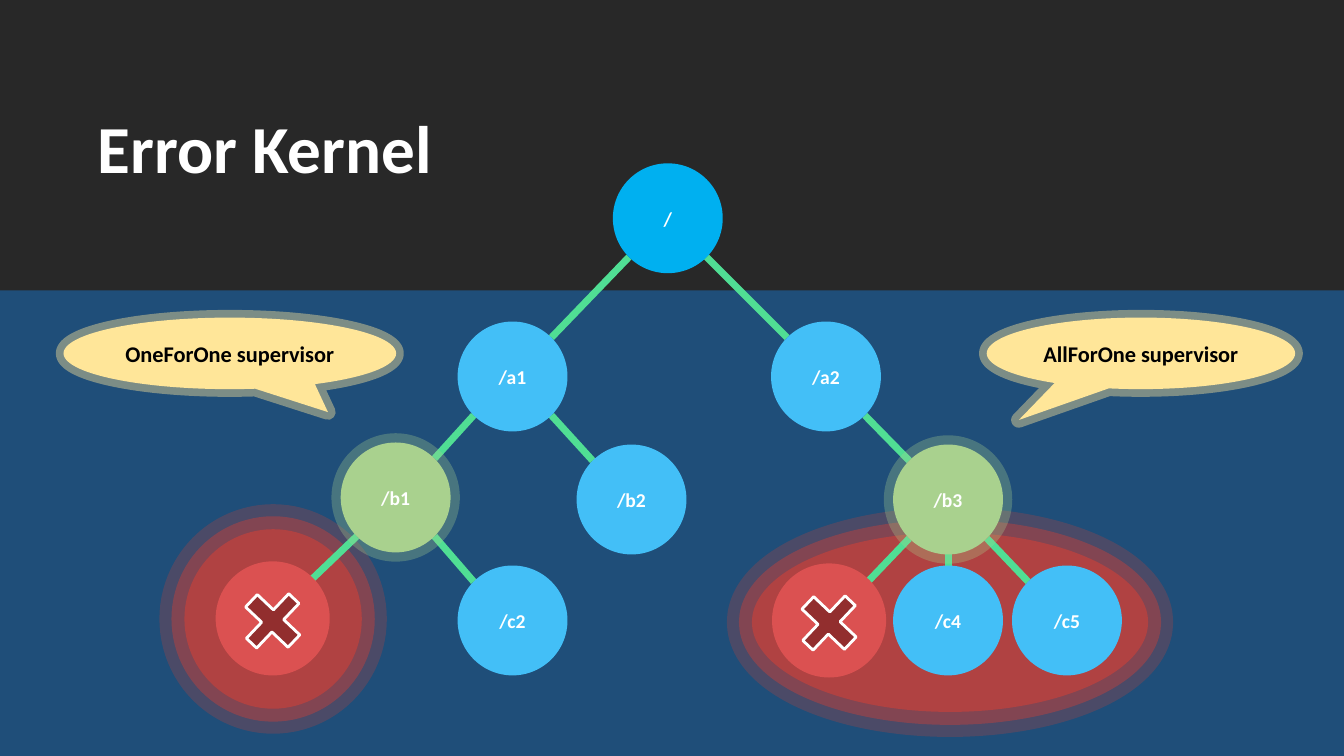
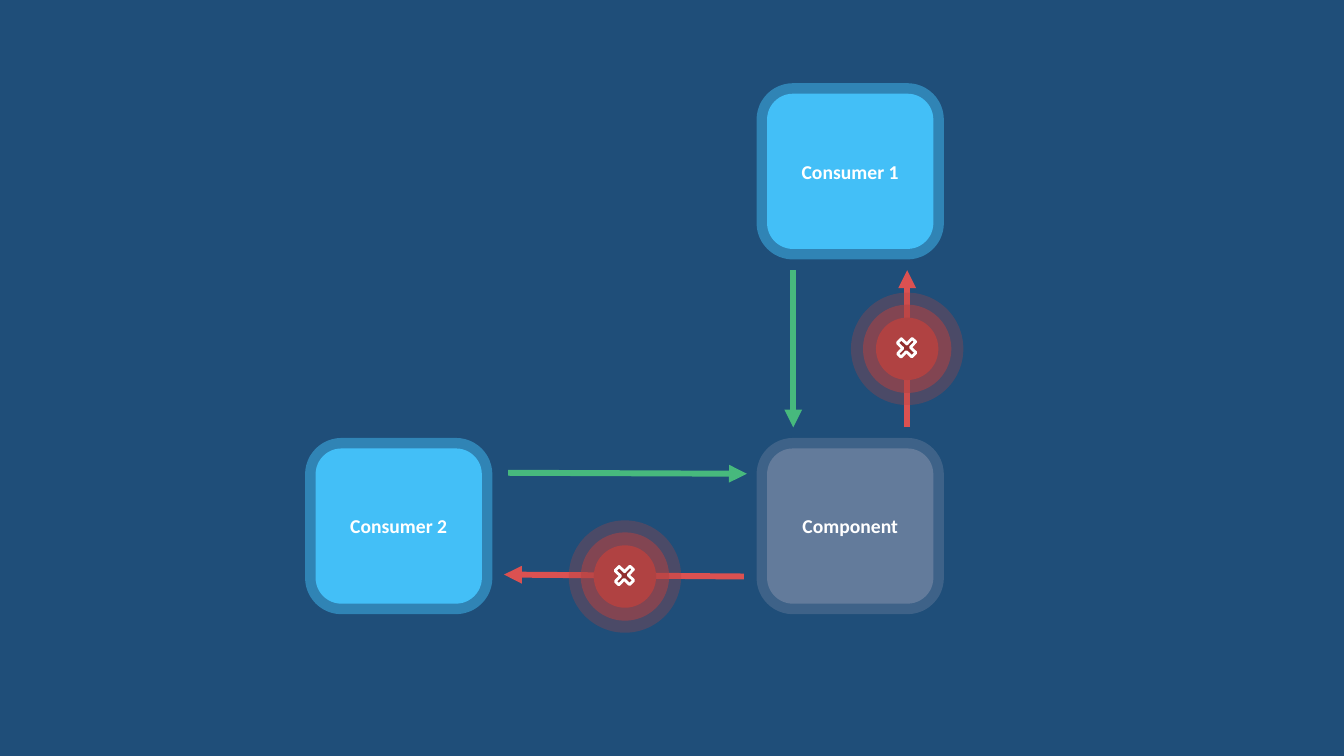
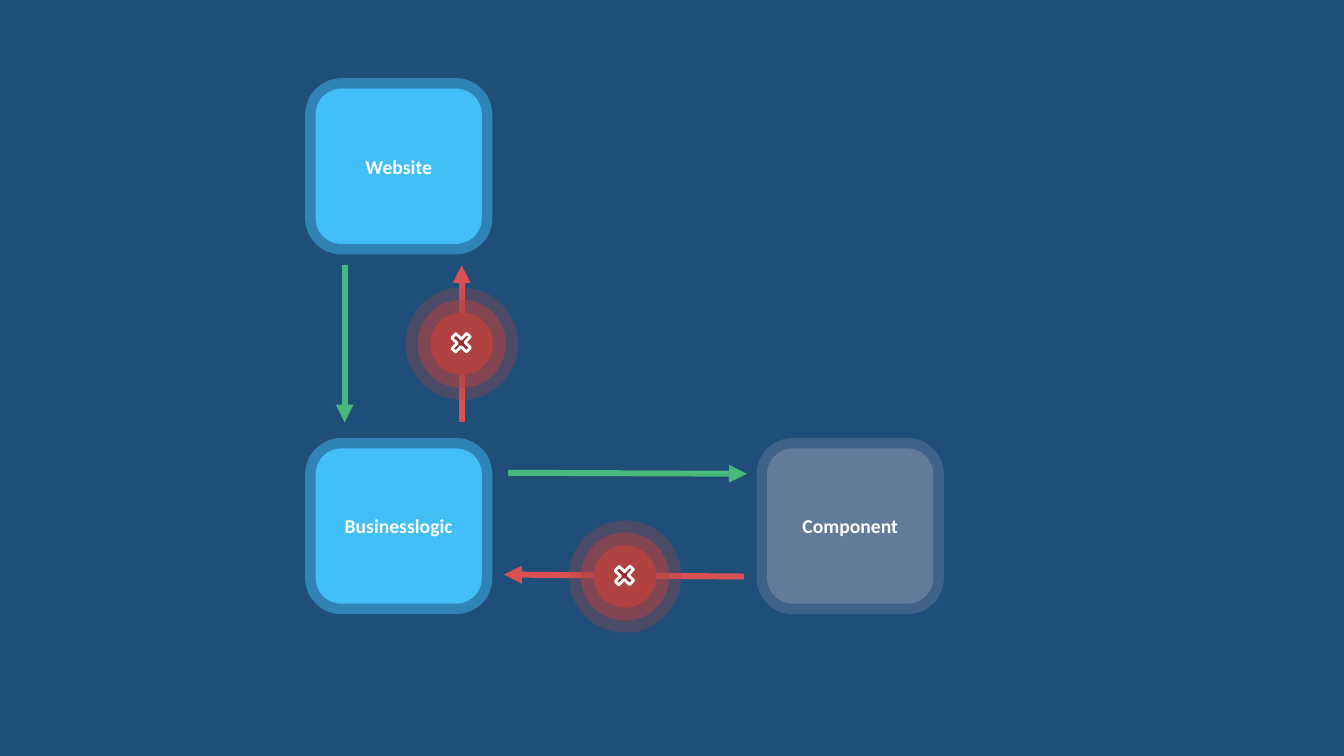
from lxml.etree import SubElement
from pptx import Presentation
from pptx.dml.color import RGBColor
from pptx.enum.shapes import MSO_CONNECTOR, MSO_SHAPE
from pptx.enum.text import MSO_ANCHOR, PP_ALIGN
from pptx.oxml.ns import qn
from pptx.util import Pt

NAVY = RGBColor(0x1F, 0x4E, 0x79)
CHARCOAL = RGBColor(0x28, 0x28, 0x28)
WHITE = RGBColor(0xFF, 0xFF, 0xFF)
BLACK = RGBColor(0x00, 0x00, 0x00)
SKY = RGBColor(0x43, 0xBF, 0xF7)
AZURE = RGBColor(0x00, 0xB0, 0xF0)
SLATE = RGBColor(0x63, 0x7B, 0x9B)
SAND = RGBColor(0xFF, 0xE6, 0x99)
LEAF = RGBColor(0xA9, 0xD1, 0x8E)
MINT = RGBColor(0x50, 0xDE, 0x94)
GREEN = RGBColor(0x47, 0xB9, 0x7D)
RED = RGBColor(0xDB, 0x51, 0x51)
BRICK = RGBColor(0xB0, 0x42, 0x42)
MAROON = RGBColor(0x92, 0x2E, 0x2E)

FONT = {"name": "Calibri", "bold": True}
FRAME = {"margin_left": 0, "margin_right": 0, "margin_top": 0, "margin_bottom": 0,
         "word_wrap": True, "vertical_anchor": MSO_ANCHOR.MIDDLE}
RINGS = [(BRICK, 18.5, 54), (None, 35.75, 31)]
CROSS = {"fill": MAROON, "line": (WHITE, 2, 100), "adj": [0.379], "rotation": 313.5}


def add_box(slide, kind, cx, cy, w, h, fill=None, line=None, text="", size=14,
            colour=WHITE, adj=(), rotation=0):
    sp = slide.shapes.add_shape(kind, Pt(cx - w / 2), Pt(cy - h / 2), Pt(w), Pt(h))
    sp.shadow.inherit = False
    sp.rotation = rotation
    for i, value in enumerate(adj):
        sp.adjustments[i] = value
    if fill is None:
        sp.fill.background()
    else:
        sp.fill.solid()
        sp.fill.fore_color.rgb = fill
    if line is None:
        sp.line.fill.background()
    else:
        line_colour, width, opacity = line
        sp.line.color.rgb = line_colour
        sp.line.width = Pt(width)
        if opacity < 100:
            clr = sp.element.spPr.find(qn("a:ln")).find(".//" + qn("a:srgbClr"))
            SubElement(clr, qn("a:alpha"), val=str(opacity * 1000))
    if text:
        tf = sp.text_frame
        for name, value in FRAME.items():
            setattr(tf, name, value)
        p = tf.paragraphs[0]
        p.alignment = PP_ALIGN.CENTER
        r = p.add_run()
        r.text = text
        for name, value in {**FONT, "size": Pt(size)}.items():
            setattr(r.font, name, value)
        r.font.color.rgb = colour


def add_link(slide, x1, y1, x2, y2, colour, width, arrow=False):
    cn = slide.shapes.add_connector(MSO_CONNECTOR.STRAIGHT, Pt(x1), Pt(y1), Pt(x2), Pt(y2))
    cn.line.color.rgb = colour
    cn.line.width = Pt(width)
    if arrow:
        SubElement(cn.element.spPr.find(qn("a:ln")), qn("a:tailEnd"), type="triangle")
    SubElement(cn.element.spPr, qn("a:effectLst"))


prs = Presentation()
prs.slide_width, prs.slide_height = Pt(960), Pt(540)
blank = prs.slide_layouts[6]
bg = prs.slide_master.background.fill
bg.solid()
bg.fore_color.rgb = NAVY

slide = prs.slides.add_slide(blank)
for cx, cy, w, h in [(678.6, 444.4, 283, 128.2), (195.1, 442.1, 126.7, 128.2)]:
    for fill, width, opacity in RINGS:
        add_box(slide, MSO_SHAPE.OVAL, cx, cy, w, h, fill, (BRICK, width, opacity))
add_box(slide, MSO_SHAPE.ROUNDED_RECTANGLE, 480, 103.7, 960, 207.4, CHARCOAL, adj=[0])

DIAMETER = 78.5
centres = {
    "/": (477, 155.9), "/a1": (366.1, 268.9), "/a2": (590, 268.9),
    "/b1": (282.6, 355.3), "/b2": (451.1, 356.8), "/b3": (677.2, 356.8),
    "/c1": (194.8, 441.7), "/c2": (366.1, 443.2), "/c3": (592.2, 443.2),
    "/c4": (677.2, 443.2), "/c5": (762.1, 443.2),
}
children = {"/": ["/a1", "/a2"], "/a1": ["/b1", "/b2"], "/a2": ["/b3"],
            "/b1": ["/c1", "/c2"], "/b3": ["/c3", "/c4", "/c5"]}
failed = ["/c1", "/c3"]
supervisors = ["/b1", "/b3"]

for parent, names in children.items():
    x1, y1 = centres[parent]
    for name in names:
        x2, y2 = centres[name]
        side = (x2 > x1) - (x2 < x1)
        drop = DIAMETER / 2 * (0.707 if side else 1)
        add_link(slide, x1 + side * drop, y1 + drop, x2 - side * drop, y2 - drop, MINT, 5)

for cx, w, adj, text in [(164.2, 237.6, [0.295, 0.821], "OneForOne supervisor"),
                         (815, 220.3, [-0.396, 0.931], "AllForOne supervisor")]:
    add_box(slide, MSO_SHAPE.OVAL_CALLOUT, cx, 252.4, w, 51.1, SAND, (SAND, 11, 42),
            text, 16, BLACK, adj)

for name, (cx, cy) in centres.items():
    if name in failed:
        add_box(slide, MSO_SHAPE.OVAL, cx, cy, DIAMETER, DIAMETER, RED, (RED, 3, 100))
        add_box(slide, MSO_SHAPE.CROSS, cx, cy + 1.8, 43.9, 41.8, **CROSS)
    elif name in supervisors:
        add_box(slide, MSO_SHAPE.OVAL, cx, cy, DIAMETER, DIAMETER, LEAF,
                (LEAF, 13.25, 30), name)
    else:
        add_box(slide, MSO_SHAPE.OVAL, cx, cy, DIAMETER, DIAMETER,
                AZURE if name == "/" else SKY, text=name)

title = slide.shapes.add_textbox(Pt(62.6), Pt(72.7), Pt(298.8), Pt(65.5))
title.text_frame.word_wrap = True
r = title.text_frame.paragraphs[0].add_run()
r.text = "Error Kernel"
for name, value in {**FONT, "size": Pt(48)}.items():
    setattr(r.font, name, value)
r.font.color.rgb = WHITE

LEFT, RIGHT, BOTTOM = 284.8, 607.3, 375.8
flows = [
    ("Consumer 1", RIGHT, 122.4, "Consumer 2", 566.6, 648),
    ("Website", LEFT, 118.8, "Businesslogic", 246.2, 329.8),
]
for top_text, top_x, top_y, left_text, request_x, reply_x in flows:
    slide = prs.slides.add_slide(blank)
    for text, cx, cy, fill, opacity in [("Component", RIGHT, BOTTOM, SLATE, 46),
                                        (top_text, top_x, top_y, SKY, 48),
                                        (left_text, LEFT, BOTTOM, SKY, 48)]:
        add_box(slide, MSO_SHAPE.ROUNDED_RECTANGLE, cx, cy, 118.8, 110.9, fill,
                (fill, 15, opacity), text)
    start, end = top_y + 70.6, top_y + 182.9
    for x1, y1, x2, y2, colour in [(362.9, 337.7, 533.5, 338.4, GREEN),
                                   (531.4, 411.8, 360, 410.4, RED),
                                   (request_x, start, request_x, end, GREEN),
                                   (reply_x, end, reply_x, start, RED)]:
        add_link(slide, x1, y1, x2, y2, colour, 4.25, True)
    for cx, cy in [(446.4, 411.8), (reply_x, (start + end) / 2)]:
        for fill, width, opacity in RINGS:
            add_box(slide, MSO_SHAPE.OVAL, cx, cy, 44.6, 44.6, fill, (BRICK, width, opacity))
        add_box(slide, MSO_SHAPE.CROSS, cx - 0.4, cy - 0.7, 15.1, 14.4, **CROSS)

prs.save("out.pptx")
